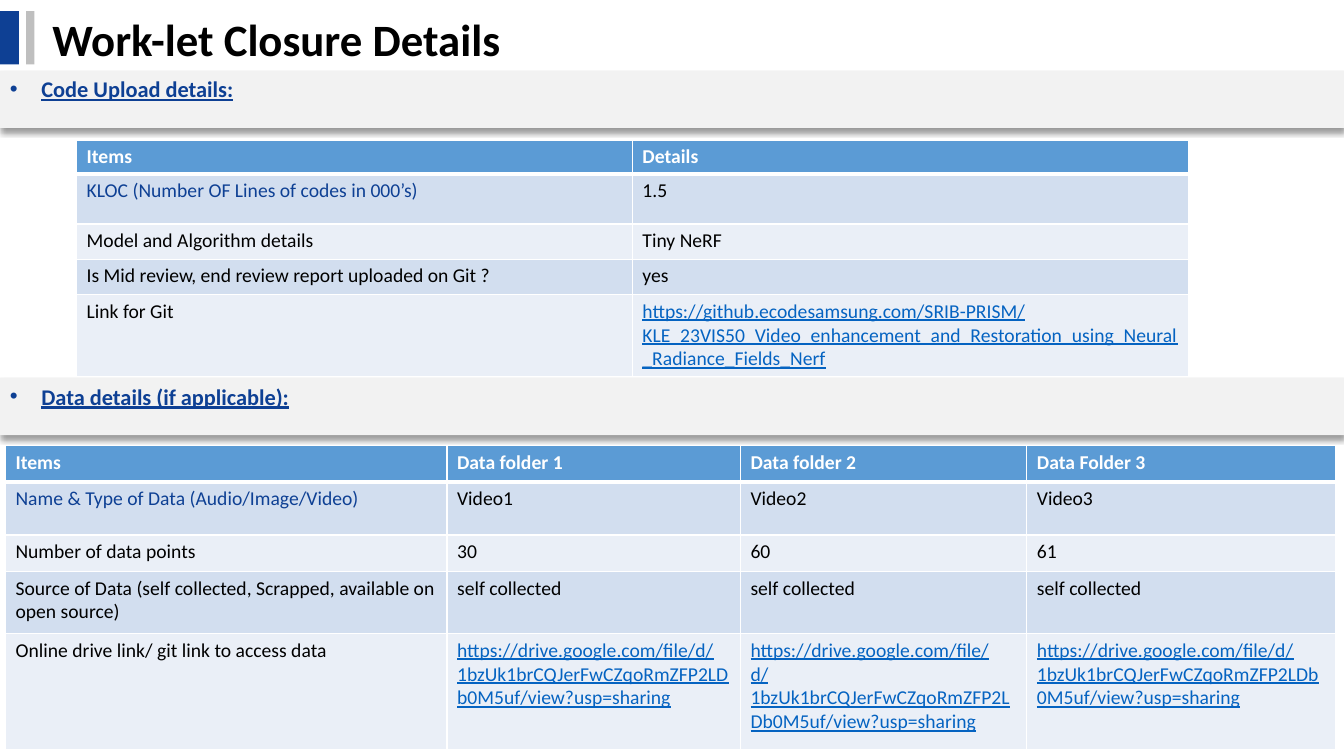
from dataclasses import dataclass

import pptx
import pptx.dml.color
import pptx.enum.shapes
import pptx.enum.text
import pptx.oxml
import pptx.oxml.ns
import pptx.presentation
import pptx.shapes.autoshape
import pptx.slide
import pptx.table
import pptx.text.text
import pptx.util

Pt = pptx.util.Pt
FONT = "Calibri"
NAVY, BLACK, WHITE, LINK = "0E4094", "000000", "FFFFFF", "0563C1"
SILVER, PALE_GREY = "BFBFBF", "F2F2F2"
HEADER_BLUE, ROW_FILLS = "5B9BD5", ("D2DEEF", "EAEFF7")
SLIDE_WIDTH, SLIDE_HEIGHT = 960, 540
THIN, THICK = 1, 3
DRIVE_LINK = ("https://drive.google.com/file/d/"
              "1bzUk1brCQJerFwCZqoRmZFP2LDb0M5uf/view?usp=sharing")
GIT_LINK = ("https://github.ecodesamsung.com/SRIB-PRISM/"
            "KLE_23VIS50_Video_enhancement_and_Restoration_using_Neural"
            "_Radiance_Fields_Nerf")


@dataclass(frozen=True)
class Box:
    left: float
    top: float
    width: float
    height: float

    def lengths(self) -> tuple[pptx.util.Length, ...]:
        return Pt(self.left), Pt(self.top), Pt(self.width), Pt(self.height)


@dataclass(frozen=True)
class Section:
    heading: str
    heading_top: float
    left: float
    top: float
    columns: tuple[float, ...]
    row_heights: tuple[float, ...]
    rows: tuple[tuple[str, ...], ...]


SECTIONS = (
    Section(
        "Code Upload details:", 50.4, 54.7, 100, (397, 397),
        (24.4, 35.6, 25.2, 25.2, 57.6),
        (
            ("Items", "Details"),
            ("KLOC (Number OF Lines of codes in 000’s)", "1.5"),
            ("Model and Algorithm details", "Tiny NeRF"),
            ("Is Mid review, end review report uploaded on Git ?", "yes"),
            ("Link for Git", GIT_LINK),
        ),
    ),
    Section(
        "Data details (if applicable):", 269.8, 3.9, 318.2,
        (315.4, 209.6, 204.6, 220.4), (26, 38, 26, 44.4, 82.6),
        (
            ("Items", "Data folder 1", "Data folder 2", "Data Folder 3"),
            ("Name & Type of Data (Audio/Image/Video)",
             "Video1", "Video2", "Video3"),
            ("Number of data points", "30", "60", "61"),
            ("Source of Data (self collected, Scrapped, available on open source)",
             *["self collected"] * 3),
            ("Online drive link/ git link to access data", *[DRIVE_LINK] * 3),
        ),
    ),
)


def rgb(color: str) -> pptx.dml.color.RGBColor:
    return pptx.dml.color.RGBColor.from_string(color)


def add_run(paragraph: pptx.text.text._Paragraph, text: str, size: float,
            color: str, bold: bool = False, underline: bool = False) -> None:
    run = paragraph.add_run()
    run.text = text
    run.font.name = FONT
    run.font.size = Pt(size)
    run.font.bold = bold
    run.font.underline = underline
    run.font.color.rgb = rgb(color)


def add_block(slide: pptx.slide.Slide, box: Box,
              color: str) -> pptx.shapes.autoshape.Shape:
    block = slide.shapes.add_shape(
        pptx.enum.shapes.MSO_SHAPE.RECTANGLE, *box.lengths())
    block.shadow.inherit = False
    block.fill.solid()
    block.fill.fore_color.rgb = rgb(color)
    block.line.fill.background()
    return block


def add_drop_shadow(block: pptx.shapes.autoshape.Shape) -> None:
    effects = block.element.spPr.find(pptx.oxml.ns.qn("a:effectLst"))
    effects.append(pptx.oxml.parse_xml(
        f'<a:outerShdw {pptx.oxml.ns.nsdecls("a")} blurRad="{Pt(4)}" '
        f'dist="{Pt(3)}" dir="5400000" algn="t" rotWithShape="0">'
        f'<a:srgbClr val="{BLACK}"><a:alpha val="40000"/></a:srgbClr>'
        "</a:outerShdw>"))


def add_heading_band(slide: pptx.slide.Slide, section: Section) -> None:
    band = add_block(
        slide, Box(0, section.heading_top, SLIDE_WIDTH, 41), PALE_GREY)
    add_drop_shadow(band)
    frame = band.text_frame
    frame.word_wrap = True
    frame.vertical_anchor = pptx.enum.text.MSO_ANCHOR.TOP
    heading = frame.paragraphs[0]
    heading.alignment = pptx.enum.text.PP_ALIGN.JUSTIFY
    properties = heading._p.get_or_add_pPr()
    properties.set("marL", str(Pt(22.5)))
    properties.set("indent", str(Pt(-22.5)))
    for bullet in ('buFont {} typeface="Arial"', 'buChar {} char="•"'):
        properties.append(pptx.oxml.parse_xml(
            f'<a:{bullet.format(pptx.oxml.ns.nsdecls("a"))}/>'))
    add_run(heading, section.heading, 16, NAVY, bold=True, underline=True)


def set_borders(cell: pptx.table._Cell, top: float, bottom: float) -> None:
    properties = cell._tc.get_or_add_tcPr()
    widths = {"lnL": THIN, "lnR": THIN, "lnT": top, "lnB": bottom}
    for position, (side, width) in enumerate(widths.items()):
        properties.insert(position, pptx.oxml.parse_xml(
            f'<a:{side} {pptx.oxml.ns.nsdecls("a")} w="{Pt(width)}">'
            f'<a:solidFill><a:srgbClr val="{WHITE}"/></a:solidFill></a:{side}>'))


def text_color(text: str, row: int, column: int) -> str:
    if row == 0:
        return WHITE
    if text.startswith("https://"):
        return LINK
    return NAVY if (row, column) == (1, 0) else BLACK


def add_details_table(slide: pptx.slide.Slide, section: Section) -> None:
    box = Box(section.left, section.top,
              sum(section.columns), sum(section.row_heights))
    table = slide.shapes.add_table(
        len(section.rows), len(section.columns), *box.lengths()).table
    for column, width in zip(table.columns, section.columns):
        column.width = Pt(width)
    for row, (texts, height) in enumerate(zip(section.rows, section.row_heights)):
        table.rows[row].height = Pt(height)
        for column, text in enumerate(texts):
            cell = table.cell(row, column)
            cell.fill.solid()
            cell.fill.fore_color.rgb = rgb(
                ROW_FILLS[(row - 1) % 2] if row else HEADER_BLUE)
            set_borders(cell, THICK if row == 1 else THIN,
                        THICK if row == 0 else THIN)
            color = text_color(text, row, column)
            add_run(cell.text_frame.paragraphs[0], text, 14, color,
                    bold=row == 0, underline=color == LINK)


def add_title(slide: pptx.slide.Slide) -> None:
    title = slide.shapes.title
    title.left, title.top, title.width, title.height = Box(
        30.2, 4.3, 740, 46).lengths()
    frame = title.text_frame
    frame.word_wrap = True
    frame.auto_size = pptx.enum.text.MSO_AUTO_SIZE.NONE
    frame.vertical_anchor = pptx.enum.text.MSO_ANCHOR.MIDDLE
    frame.paragraphs[0].alignment = pptx.enum.text.PP_ALIGN.LEFT
    add_run(frame.paragraphs[0], "Work-let Closure Details", 32, BLACK, bold=True)


def main() -> None:
    deck = pptx.Presentation()
    deck.slide_width, deck.slide_height = Pt(SLIDE_WIDTH), Pt(SLIDE_HEIGHT)
    slide = deck.slides.add_slide(deck.slide_layouts.get_by_name("Title Only"))
    add_title(slide)
    add_block(slide, Box(0, 8, 13.5, 38), NAVY)
    add_block(slide, Box(18.7, 8, 5.8, 38), SILVER)
    for section in SECTIONS:
        add_heading_band(slide, section)
        add_details_table(slide, section)
    deck.save("out.pptx")


if __name__ == "__main__":
    main()
